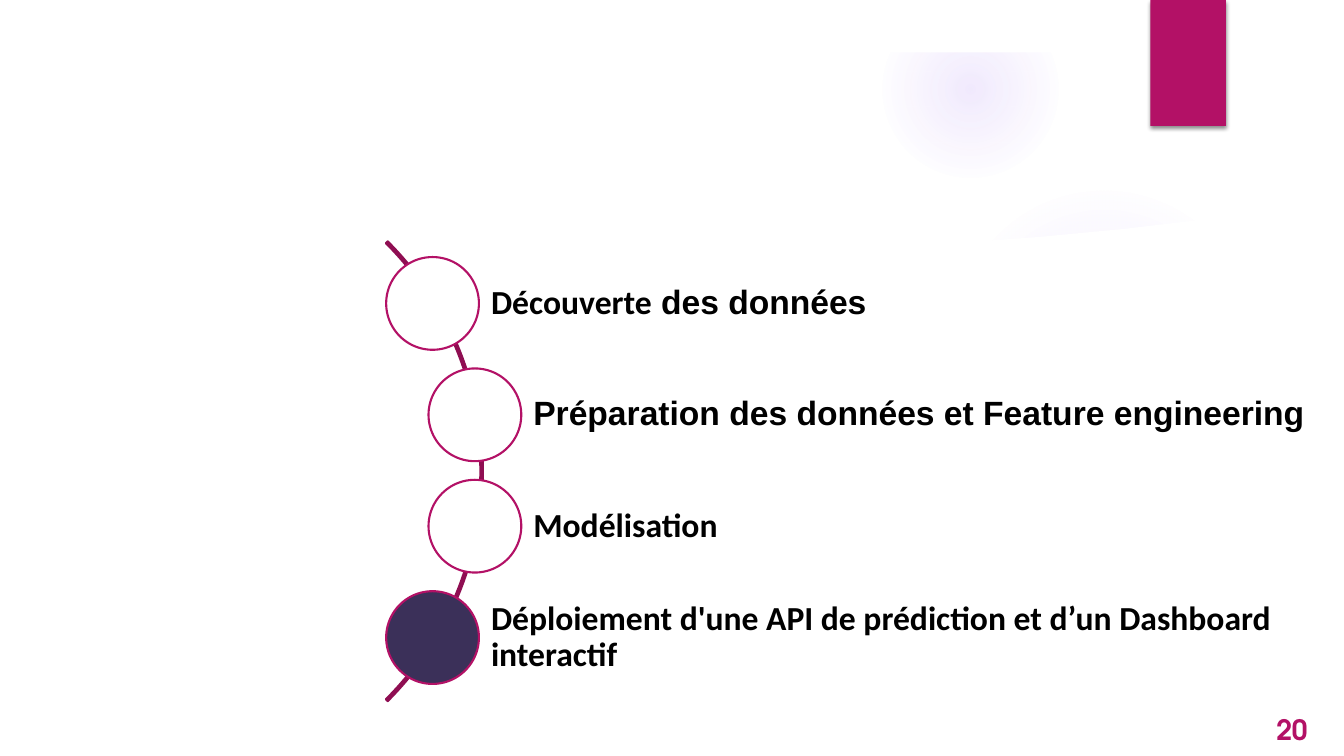
import pptx
import pptx.util
import pptx.dml.color
import pptx.enum.shapes
import pptx.enum.text
import pptx.oxml
import pptx.oxml.ns

Inches, Pt = pptx.util.Inches, pptx.util.Pt
MSO = pptx.enum.shapes.MSO_SHAPE

COLORS = {"white": "FFFFFF", "black": "000000", "accent": "B31166",
          "arc": "8F0E52", "current": "3B3059", "glow": "9B6BF2"}

# Steps: runs of (text, font), circle centre x, circle colour
STEPS = [
    ([("Découverte", "Calibri"), (" des données", "Arial")], 4.29, "white"),
    ([("Préparation des données et Feature engineering", "Arial")], 4.71, "white"),
    ([("Modélisation", "Calibri")], 4.71, "white"),
    ([("Déploiement d'une API de prédiction et d’un Dashboard interactif",
       "Calibri")], 4.29, "current"),
]
PAGE = "20"

# Glows: left, top, diameter, stops of (position %, opacity %)
GLOWS = [
    (9.41, 1.83, 3.08, [(0, 7), (36, 6), (69, 0), (100, 0)]),
    (8.75, 0.01, 1.75, [(0, 14), (36, 7), (73, 0), (100, 0)]),
]
# White panel with a curved upper edge
PANEL = [(0.5, 7), (0.5, 2.04), (1.59, 2.18), (2.83, 2.3), (4.01, 2.38),
         (5.11, 2.44), (6.32, 2.47), (7.6, 2.47), (8.67, 2.45), (9.49, 2.41),
         (10.32, 2.35), (11.16, 2.27), (12, 2.17), (12.84, 2.04), (12.84, 7)]

CIRCLE, FIRST_Y, STEP_Y = 0.92, 3.01, 1.105
ROW_H, ROW_RIGHT = 0.74, 13.27
ARC_X, ARC_Y, ARC_D = -1.66, 1.45, 6.45


def rgb(name):
    return pptx.dml.color.RGBColor.from_string(COLORS[name])


def paint(sp, fill, line=None):
    sp.shadow.inherit = False
    if fill:
        sp.fill.solid()
        sp.fill.fore_color.rgb = rgb(fill)
    if line:
        sp.line.color.rgb = rgb(line)
        sp.line.width = Pt(1.5)
    else:
        sp.line.fill.background()
    return sp


def add_shape(slide, kind, x, y, w, h, fill, line=None):
    sp = slide.shapes.add_shape(kind, Inches(x), Inches(y), Inches(w), Inches(h))
    return paint(sp, fill, line)


def add_glow(slide, x, y, d, stops):
    sp = add_shape(slide, MSO.OVAL, x, y, d, d, None)
    gs = "".join(
        f'<a:gs pos="{pos * 1000}"><a:srgbClr val="{COLORS["glow"]}">'
        f'<a:alpha val="{alpha * 1000}"/></a:srgbClr></a:gs>' for pos, alpha in stops)
    grad = pptx.oxml.parse_xml(
        f'<a:gradFill {pptx.oxml.ns.nsdecls("a")}><a:gsLst>{gs}</a:gsLst>'
        '<a:path path="circle"><a:fillToRect l="50000" t="50000" r="50000" b="50000"/>'
        '</a:path></a:gradFill>')
    sp._element.spPr.find(pptx.oxml.ns.qn("a:prstGeom")).addnext(grad)


def add_text(slide, x, y, w, h, runs, size, color, insets):
    tf = slide.shapes.add_textbox(Inches(x), Inches(y), Inches(w), Inches(h)).text_frame
    tf.word_wrap = True
    tf.vertical_anchor = pptx.enum.text.MSO_ANCHOR.MIDDLE
    tf.margin_left, tf.margin_top, tf.margin_right, tf.margin_bottom = map(Inches, insets)
    p = tf.paragraphs[0]
    p.font.size, p.font.bold = Pt(size), True
    p.font.color.rgb = rgb(color)
    for text, font in runs:
        r = p.add_run()
        r.text = text
        r.font.size, r.font.bold, r.font.name = Pt(size), True, font
        r.font.color.rgb = rgb(color)
    return p


def main():
    prs = pptx.Presentation()
    prs.slide_width, prs.slide_height = Inches(13.33), Inches(7.5)
    slide = prs.slides.add_slide(prs.slide_layouts[6])

    # Background: glows cut off by the panel and the top margin
    for glow in GLOWS:
        add_glow(slide, *glow)
    fb = slide.shapes.build_freeform(*map(Inches, PANEL[0]), scale=1.0)
    fb.add_line_segments([(Inches(x), Inches(y)) for x, y in PANEL[1:]], close=True)
    paint(fb.convert_to_shape(), "white")
    add_shape(slide, MSO.RECTANGLE, 0, 0, 13.33, 0.52, "white")

    # Ribbon with a soft shadow
    ribbon = add_shape(slide, MSO.RECTANGLE, 11.41, 0, 0.75, 1.25, "accent")
    effects = ribbon._element.spPr.find(pptx.oxml.ns.qn("a:effectLst"))
    effects.append(pptx.oxml.parse_xml(
        f'<a:outerShdw {pptx.oxml.ns.nsdecls("a")} blurRad="{Pt(3)}" dist="{Pt(2)}" '
        f'dir="5400000" rotWithShape="0"><a:srgbClr val="{COLORS["black"]}">'
        '<a:alpha val="45000"/></a:srgbClr></a:outerShdw>'))

    # Page number
    add_text(slide, 12.56, 7.07, 0.68, 0.34, [(PAGE, "TeX Gyre Adventor")], 20,
             "accent", (0.1, 0.05, 0.1, 0.05))

    # Arc from -45 to 45 degrees
    arc = add_shape(slide, MSO.BLOCK_ARC, ARC_X, ARC_Y, ARC_D, ARC_D, "arc", "arc")
    for i, value in enumerate((189, 27, 0.004)):
        arc.adjustments[i] = value

    # Steps along the arc
    for i, (runs, cx, fill) in enumerate(STEPS):
        cy = FIRST_Y + i * STEP_Y
        p = add_text(slide, cx, cy - ROW_H / 2, ROW_RIGHT - cx, ROW_H, runs, 24,
                     "black", (0.58, 0.07, 0.07, 0.07))
        p.line_spacing = 0.9
        add_shape(slide, MSO.OVAL, cx - CIRCLE / 2, cy - CIRCLE / 2, CIRCLE, CIRCLE,
                  fill, "accent")

    prs.save("out.pptx")


if __name__ == "__main__":
    main()
